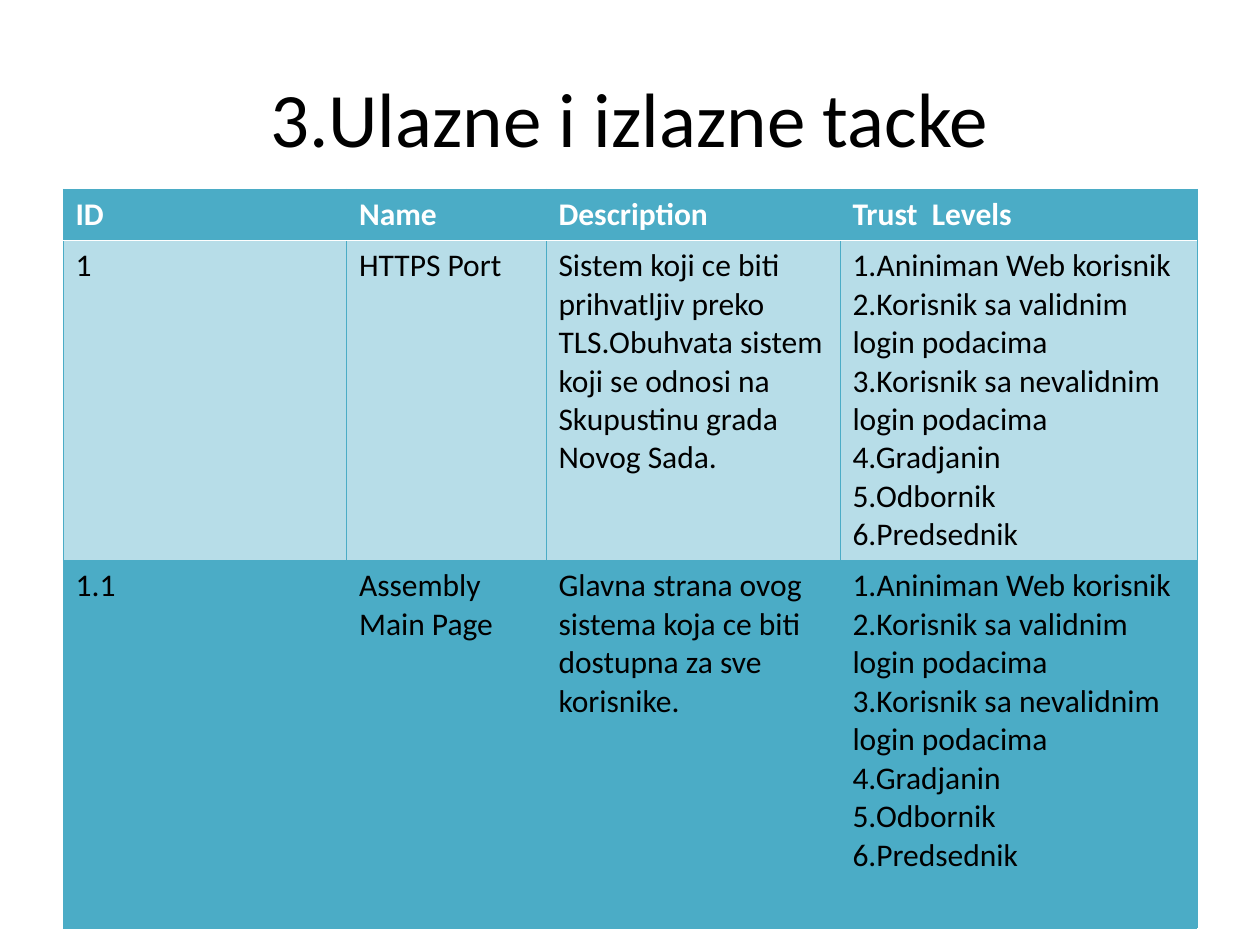
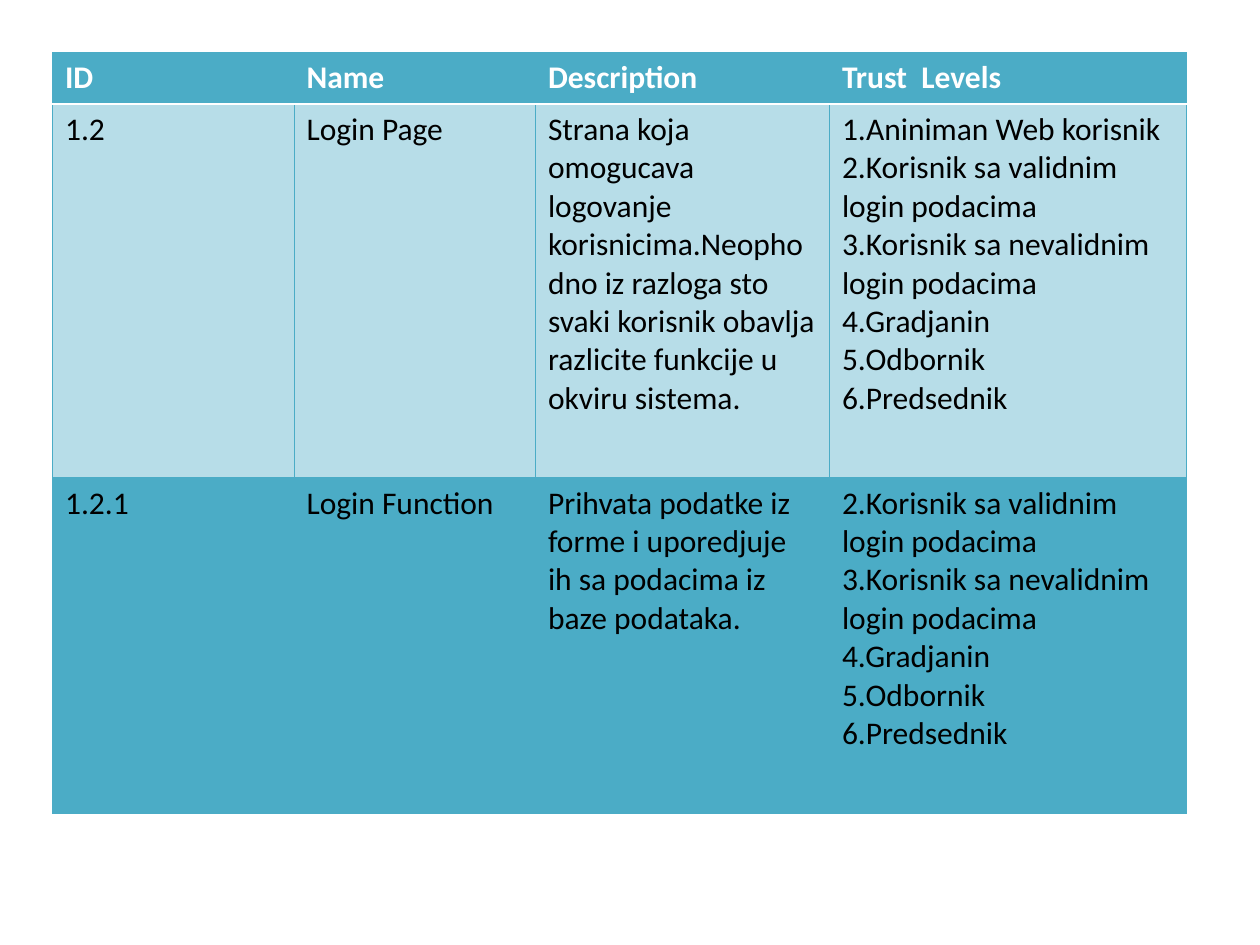
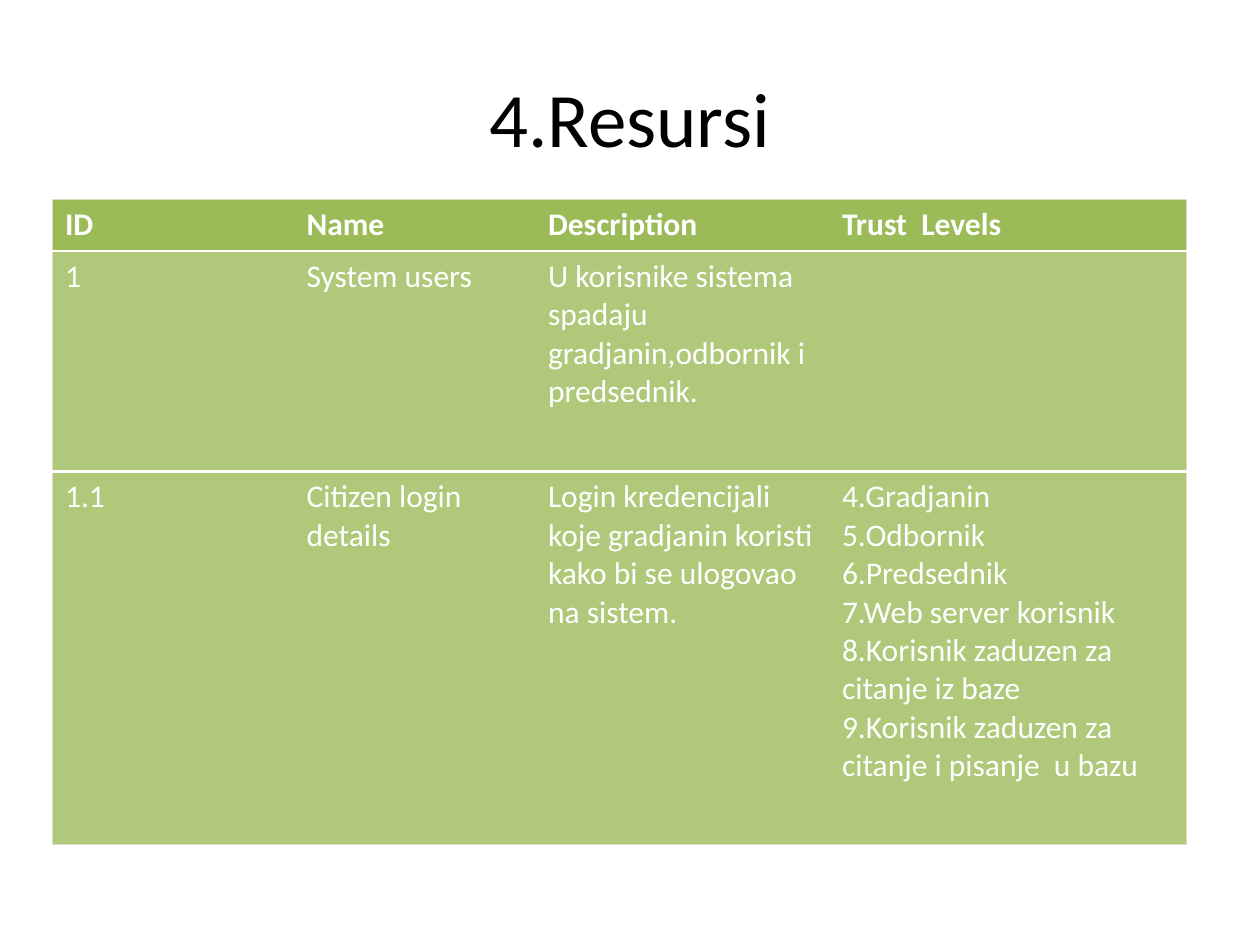
from dataclasses import dataclass

from lxml import etree
from pptx import Presentation
from pptx.dml.color import RGBColor
from pptx.enum.text import MSO_ANCHOR, PP_ALIGN
from pptx.oxml.ns import qn
from pptx.util import Inches, Pt

MIDDLE = MSO_ANCHOR.MIDDLE
CENTER, LEFT = PP_ALIGN.CENTER, PP_ALIGN.LEFT

BLACK = RGBColor(0x00, 0x00, 0x00)
WHITE = RGBColor(0xFF, 0xFF, 0xFF)
TEAL = RGBColor(0x4B, 0xAC, 0xC6)
PALE_TEAL = RGBColor(0xB7, 0xDD, 0xE8)
GREEN = RGBColor(0x9B, 0xBB, 0x59)
SOFT_GREEN = RGBColor(0xAF, 0xC8, 0x7A)
PALE_GREEN = RGBColor(0xD4, 0xE0, 0xC3)

FONT = "Calibri"
TITLE_SIZE, CELL_SIZE = 44, 18
GRID_COLS, GRID_ROWS = 120, 90
NO_STYLE = "{2D5ABB26-0587-4C30-8999-92F81FD0307C}"

HEADER = ["ID", "Name", "Description", "Trust  Levels"]
LEVELS = [
    "1.Aniniman Web korisnik",
    "2.Korisnik sa validnim login podacima",
    "3.Korisnik sa nevalidnim login podacima",
    "4.Gradjanin",
    "5.Odbornik",
    "6.Predsednik",
    "7.Web server korisnik",
    "8.Korisnik zaduzen za citanje iz baze",
    "9.Korisnik zaduzen za citanje i pisanje  u bazu",
]
WIDE_ID_COLS = [27, 19, 28, 34]
EVEN_COLS = [23, 23, 28, 34]


@dataclass
class TableStyle:
    """Row fills, body text colour and the lines around the cells."""
    fills: list
    text: RGBColor
    rules: list
    outer: tuple
    inner: tuple | None


TEAL_LINE, GREEN_LINE = (TEAL, 0.34), (PALE_GREEN, 0.34)
HEADER_LINE, ROW_LINE = (WHITE, 0.96), (WHITE, 1.47)
TEAL_TABLE = TableStyle([TEAL, PALE_TEAL, TEAL], BLACK,
                        [TEAL_LINE, HEADER_LINE, TEAL_LINE, TEAL_LINE],
                        TEAL_LINE, TEAL_LINE)
GREEN_TABLE = TableStyle([GREEN, SOFT_GREEN, SOFT_GREEN], WHITE,
                         [GREEN_LINE, ROW_LINE, ROW_LINE, GREEN_LINE],
                         GREEN_LINE, None)


def levels(first, last):
    """Return the numbered trust levels, one a paragraph."""
    return "\n".join(LEVELS[first - 1:last])


class Deck:
    """Holds the presentation, its grid and the current slide."""

    def __init__(self):
        self.prs = Presentation()
        self.prs.slide_width, self.prs.slide_height = Inches(10), Inches(7.5)

    def x(self, cols):
        return round(self.prs.slide_width * cols / GRID_COLS)

    def y(self, rows):
        return round(self.prs.slide_height * rows / GRID_ROWS)

    def box(self, left, top, width, height):
        return self.x(left), self.y(top), self.x(width), self.y(height)

    def slide(self):
        self.s = self.prs.slides.add_slide(self.prs.slide_layouts[6])

    def text(self, tf, text, size, color, bold=False, align=LEFT):
        tf.text = text
        for p in tf.paragraphs:
            p.alignment = align
            for r in p.runs:
                r.font.name, r.font.size = FONT, Pt(size)
                r.font.bold, r.font.color.rgb = bold, color

    def title(self, text):
        tf = self.s.shapes.add_textbox(*self.box(6, 3.6, 108, 15)).text_frame
        tf.word_wrap, tf.vertical_anchor = True, MIDDLE
        self.text(tf, text, TITLE_SIZE, BLACK, align=CENTER)

    def border(self, cell, side, line):
        if line is None:
            return
        color, width = line
        ln = etree.SubElement(cell._tc.get_or_add_tcPr(), qn(f"a:ln{side}"),
                              w=str(Pt(width)))
        fill = etree.SubElement(ln, qn("a:solidFill"))
        etree.SubElement(fill, qn("a:srgbClr"), val=str(color))

    def table(self, left, top, cols, heights, body, style):
        rows = [HEADER, *body]
        frame = self.s.shapes.add_table(
            len(rows), len(cols),
            *self.box(left, top, sum(cols), sum(heights)))
        next(frame._element.iter(qn("a:tableStyleId"))).text = NO_STYLE
        table = frame.table
        table.horz_banding = False
        for col, width in zip(table.columns, cols):
            col.width = self.x(width)
        verticals = [style.outer, *[style.inner] * (len(cols) - 1), style.outer]
        for i, row in enumerate(rows):
            table.rows[i].height = self.y(heights[i])
            for j, text in enumerate(row):
                cell = table.cell(i, j)
                self.text(cell.text_frame, text, CELL_SIZE,
                          style.text if i else WHITE, bold=i == 0)
                self.border(cell, "L", verticals[j])
                self.border(cell, "R", verticals[j + 1])
                self.border(cell, "T", style.rules[i])
                self.border(cell, "B", style.rules[i + 1])
                cell.fill.solid()
                cell.fill.fore_color.rgb = style.fills[i]


def main():
    deck = Deck()

    deck.slide()
    deck.title("3.Ulazne i izlazne tacke")
    deck.table(6, 18, WIDE_ID_COLS, [4.9, 30.5, 35], [
        ["1", "HTTPS Port",
         "Sistem koji ce biti prihvatljiv preko TLS.Obuhvata sistem koji se "
         "odnosi na Skupustinu grada Novog Sada.", levels(1, 6)],
        ["1.1", "Assembly Main Page",
         "Glavna strana ovog sistema koja ce biti dostupna za sve korisnike.",
         levels(1, 6)],
    ], TEAL_TABLE)

    deck.slide()
    deck.table(5, 5, EVEN_COLS, [4.9, 35.6, 32], [
        ["1.2", "Login Page",
         "Strana koja omogucava logovanje korisnicima.Neophodno iz razloga sto "
         "svaki korisnik obavlja razlicite funkcije u okviru sistema.",
         levels(1, 6)],
        ["1.2.1", "Login Function",
         "Prihvata podatke iz forme i uporedjuje ih sa podacima iz baze "
         "podataka.", levels(2, 6)],
    ], TEAL_TABLE)

    deck.slide()
    deck.title("4.Resursi")
    deck.table(5, 19, EVEN_COLS, [4.9, 21, 35.5], [
        ["1", "System users",
         "U korisnike sistema spadaju gradjanin,odbornik i predsednik.", ""],
        ["1.1", "Citizen login details",
         "Login kredencijali koje gradjanin koristi kako bi se ulogovao na "
         "sistem.", levels(4, 9)],
    ], GREEN_TABLE)

    deck.prs.save("out.pptx")


if __name__ == "__main__":
    main()
